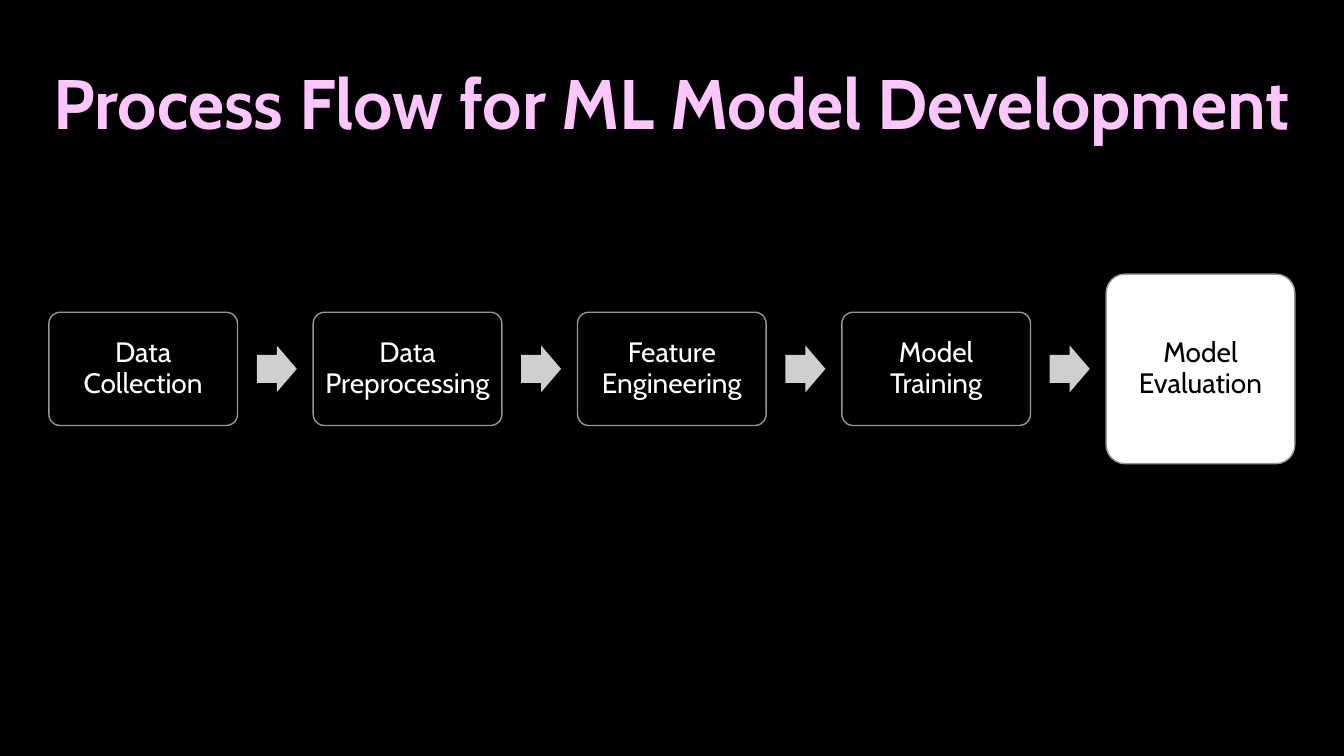
from pptx import Presentation
from pptx.dml.color import RGBColor
from pptx.enum.shapes import MSO_SHAPE
from pptx.enum.text import MSO_ANCHOR, PP_ALIGN
from pptx.util import Pt

BLACK = RGBColor(0x00, 0x00, 0x00)
WHITE = RGBColor(0xFF, 0xFF, 0xFF)
PINK = RGBColor(0xFF, 0xC5, 0xFF)
EDGE = RGBColor(0x96, 0x96, 0x96)
GREY = RGBColor(0xCF, 0xCF, 0xCF)

ROUND = MSO_SHAPE.ROUNDED_RECTANGLE
ARROW = MSO_SHAPE.RIGHT_ARROW
MIDDLE = MSO_ANCHOR.MIDDLE
CENTER = PP_ALIGN.CENTER

FONT = "Cabin"
STEPS = ["Data Collection", "Data Preprocessing", "Feature Engineering",
         "Model Training", "Model Evaluation"]

LEFT, PITCH, MID = 34.9, 188.8, 263.5
STEP_W, STEP_H, LAST_H = 134.8, 80.9, 135.4
ARROW_X, ARROW_W, ARROW_H = 148.5, 28.6, 33.4


def write(frame, text, size, color, bold=False):
    frame.word_wrap = True
    frame.text = text
    para = frame.paragraphs[0]
    para.alignment = CENTER
    font = para.runs[0].font
    font.name = FONT
    font.size = Pt(size)
    font.bold = bold
    font.color.rgb = color
    return para


def add_title(slide, text):
    box = slide.shapes.add_textbox(Pt(10.4), Pt(38.9), Pt(939), Pt(67.7))
    write(box.text_frame, text, 50, PINK, bold=True)


def add_mid(slide, kind, left, width, height):
    """Add a preset shape centred on the line of the flow."""
    shape = slide.shapes.add_shape(
        kind, Pt(left), Pt(MID - height / 2), Pt(width), Pt(height))
    shape.shadow.inherit = False
    return shape


def add_step(slide, text, left, last):
    step = add_mid(slide, ROUND, left, STEP_W, LAST_H if last else STEP_H)
    step.adjustments[0] = 0.1
    step.line.color.rgb = EDGE
    step.line.width = Pt(1)
    if last:
        step.fill.solid()
        step.fill.fore_color.rgb = WHITE
    else:
        step.fill.background()
    frame = step.text_frame
    frame.vertical_anchor = MIDDLE
    frame.margin_left = frame.margin_right = Pt(6)
    frame.margin_top = frame.margin_bottom = Pt(6)
    para = write(frame, text, 20, BLACK if last else WHITE)
    para.line_spacing = 0.9


def add_arrow(slide, left):
    arrow = add_mid(slide, ARROW, left, ARROW_W, ARROW_H)
    arrow.adjustments[0] = 0.6
    arrow.adjustments[1] = 0.5
    arrow.fill.solid()
    arrow.fill.fore_color.rgb = GREY
    arrow.line.fill.background()


def main():
    deck = Presentation()
    deck.slide_width, deck.slide_height = Pt(960), Pt(540)
    slide = deck.slides.add_slide(deck.slide_layouts[6])
    slide.background.fill.solid()
    slide.background.fill.fore_color.rgb = BLACK

    add_title(slide, "Process Flow for ML Model Development")
    for i, text in enumerate(STEPS):
        left = LEFT + i * PITCH
        last = i == len(STEPS) - 1
        add_step(slide, text, left, last)
        if not last:
            add_arrow(slide, left + ARROW_X)
    deck.save("out.pptx")


if __name__ == "__main__":
    main()
